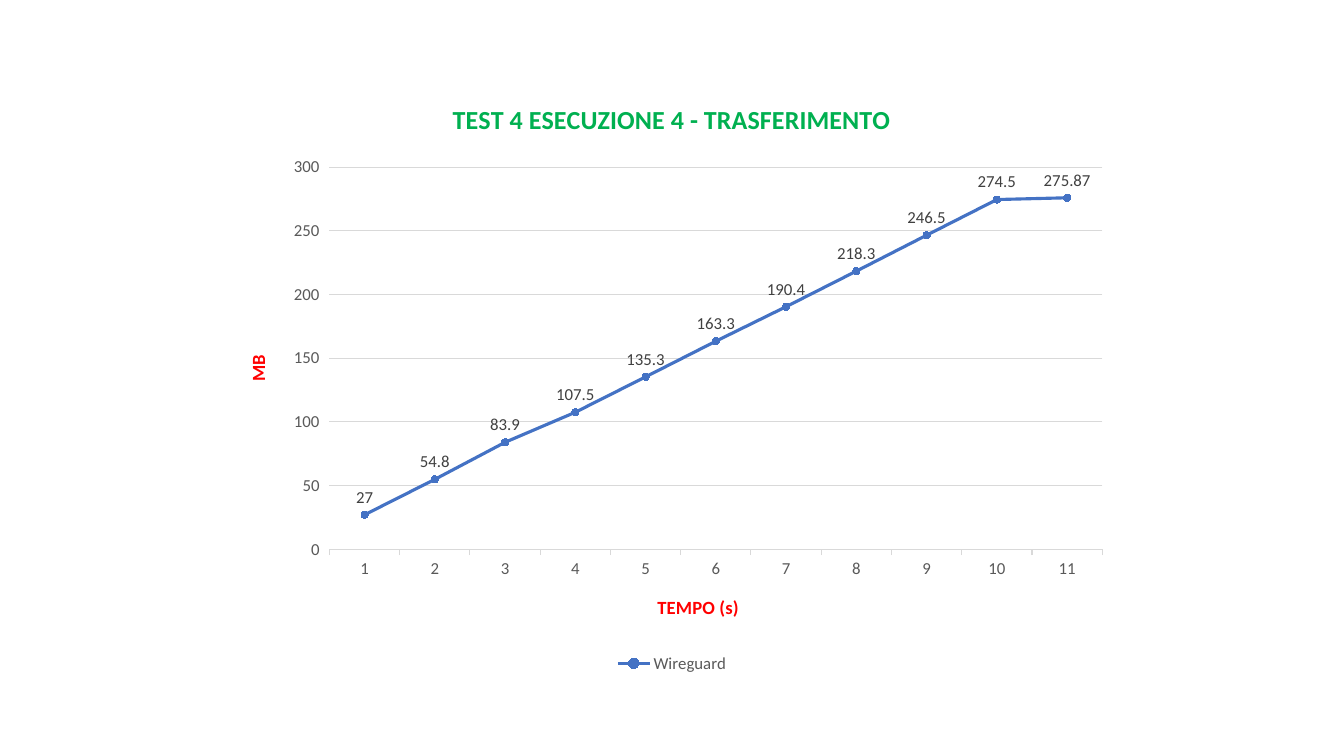
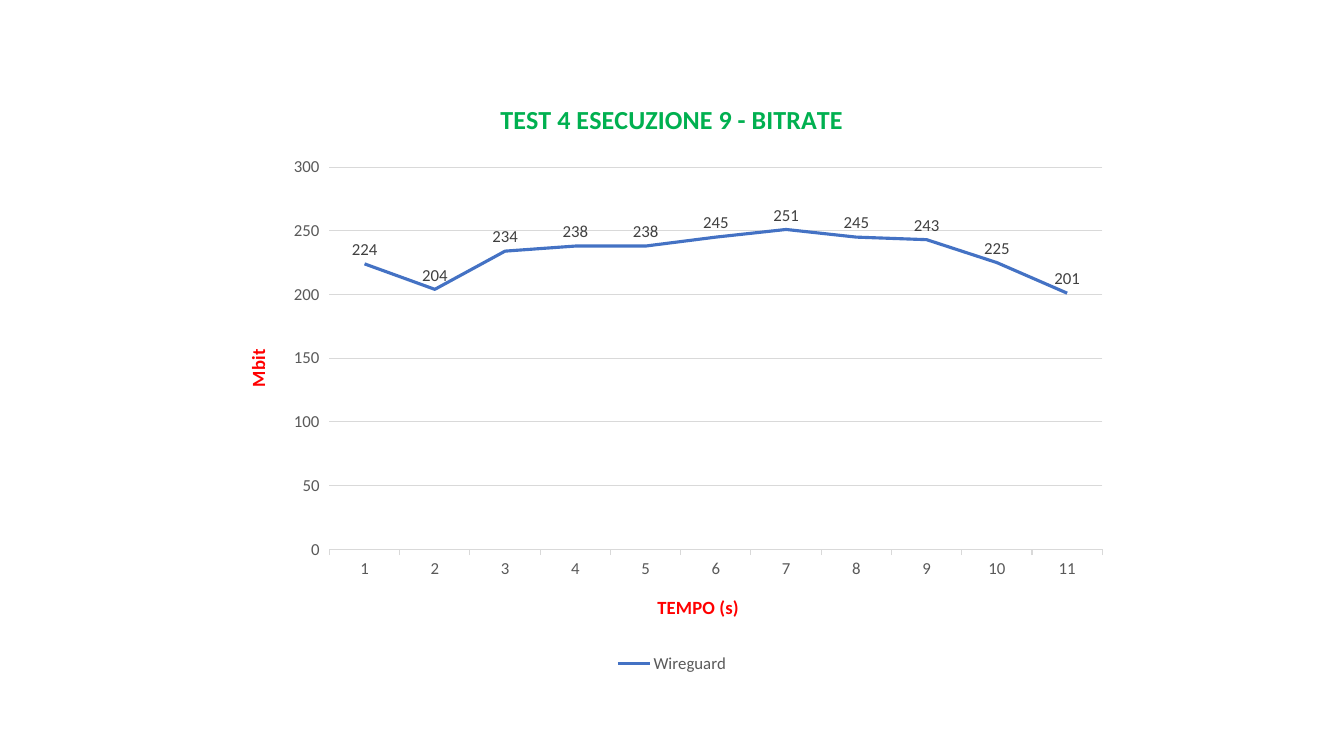
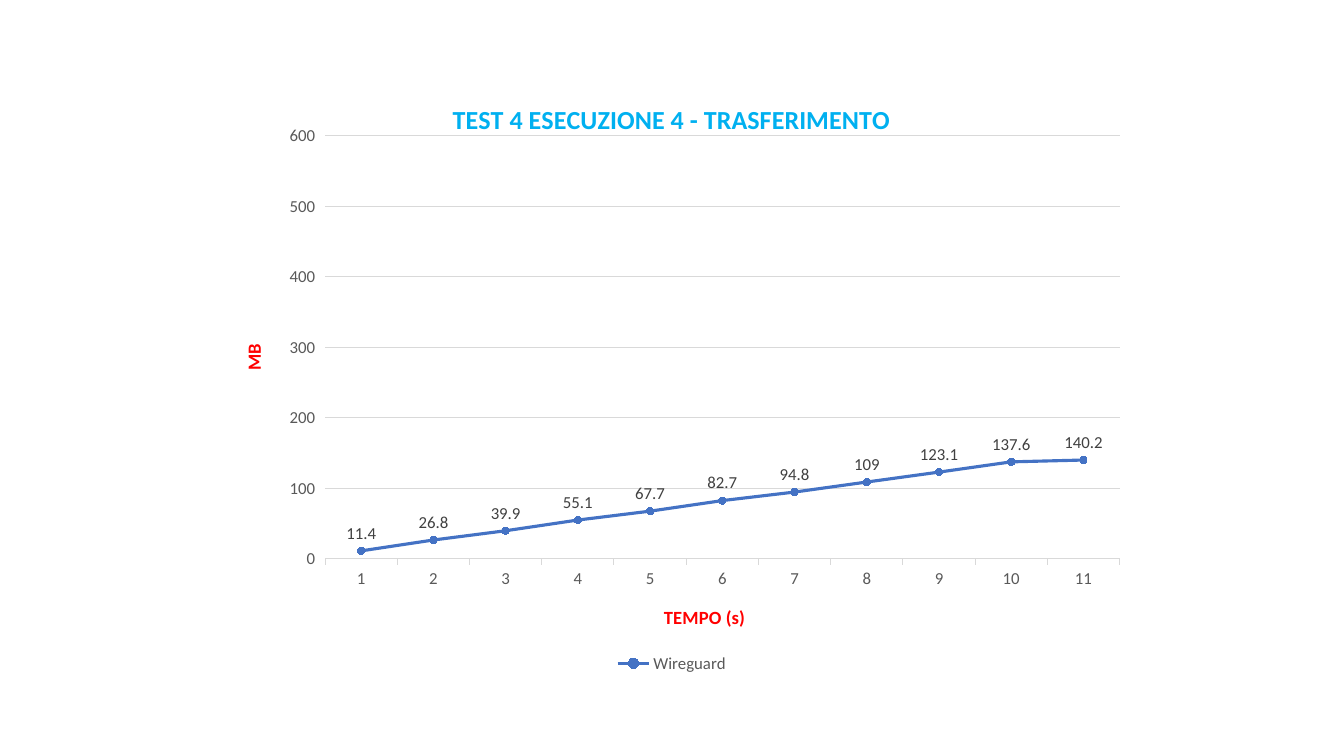
"""Build three slides that chart the Wireguard transfer and bitrate tests."""
from pptx import Presentation
from pptx.chart.data import CategoryChartData as ChartData
from pptx.dml.color import RGBColor as RGB
from pptx.enum.chart import XL_CHART_TYPE as ChartType
from pptx.enum.chart import XL_LABEL_POSITION as LabelPosition
from pptx.enum.chart import XL_LEGEND_POSITION as LegendPosition
from pptx.enum.chart import XL_MARKER_STYLE as MarkerStyle
from pptx.enum.chart import XL_TICK_MARK as TickMark
from pptx.oxml import parse_xml
from pptx.oxml.ns import nsdecls
from pptx.util import Inches, Pt

COLORS = {
    "green": "00B050", "sky": "00B0F0", "red": "FF0000", "blue": "4472C4",
    "text": "595959", "label": "404040", "grid": "D9D9D9",
}
CHARTS = [
    {"title": "TEST 4 ESECUZIONE 4 - TRASFERIMENTO", "color": "green", "unit": "MB",
     "type": ChartType.LINE_MARKERS, "scale": {"minimum_scale": 0}, "plot": None,
     "values": [27, 54.8, 83.9, 107.5, 135.3, 163.3, 190.4, 218.3, 246.5, 274.5, 275.87]},
    {"title": "TEST 4 ESECUZIONE 9 - BITRATE", "color": "green", "unit": "Mbit",
     "type": ChartType.LINE, "scale": {}, "plot": None,
     "values": [224, 204, 234, 238, 238, 245, 251, 245, 243, 225, 201]},
    {"title": "TEST 4 ESECUZIONE 4 - TRASFERIMENTO", "color": "sky", "unit": "MB",
     "type": ChartType.LINE_MARKERS, "scale": {"minimum_scale": 0, "maximum_scale": 600},
     "plot": {"x": 0.113, "y": 0.094, "w": 0.887, "h": 0.708},
     "values": [11.4, 26.8, 39.9, 55.1, 67.7, 82.7, 94.8, 109, 123.1, 137.6, 140.2]},
]


def style_font(font, color, size=12, bold=False):
    for name, value in {"name": "Calibri", "size": Pt(size), "bold": bold}.items():
        setattr(font, name, value)
    font.color.rgb = RGB.from_string(COLORS[color])


def write_title(title, text, color, size):
    para = title.text_frame.paragraphs[0]
    span = para.add_run()
    span.text = text
    style_font(para.font, color, size, True)
    style_font(span.font, color, size, True)


deck = Presentation()
deck.slide_width, deck.slide_height = Inches(13.33), Inches(7.5)

for entry in CHARTS:
    page = deck.slides.add_slide(deck.slide_layouts[6])
    data = ChartData()
    data.categories = [str(second) for second in range(1, 12)]
    data.add_series("Wireguard", entry["values"])
    chart = page.shapes.add_chart(
        entry["type"], Inches(2.22), Inches(0.79), Inches(8.89), Inches(5.93), data).chart
    style_font(chart.font, "text")
    write_title(chart.chart_title, entry["title"], entry["color"], 18.6)
    chart.chart_title.include_text_in_layout = False

    for axis, caption in ((chart.category_axis, "TEMPO (s)"), (chart.value_axis, entry["unit"])):
        write_title(axis.axis_title, caption, "red", 13.3)
        style_font(axis.tick_labels.font, "text")
        axis.major_tick_mark = TickMark.OUTSIDE
        axis.minor_tick_mark = TickMark.NONE

    category_axis, value_axis = chart.category_axis, chart.value_axis
    value_axis.has_major_gridlines = True
    for line in (category_axis.format.line, value_axis.major_gridlines.format.line):
        line.width = Pt(0.75)
        line.color.rgb = RGB.from_string(COLORS["grid"])
    value_axis.format.line.fill.background()
    for name, value in entry["scale"].items():
        setattr(value_axis, name, value)
    rotation = value_axis.axis_title.text_frame._txBody.bodyPr
    rotation.set("rot", "-5400000")
    rotation.set("vert", "horz")

    chart.has_legend = True
    chart.legend.position = LegendPosition.BOTTOM
    chart.legend.include_in_layout = False
    style_font(chart.legend.font, "text")

    plot = chart.plots[0]
    plot.vary_by_categories = False
    series = plot.series[0]
    series.smooth = False
    series.format.line.width = Pt(2.25)
    series.format.line.color.rgb = RGB.from_string(COLORS["blue"])
    if entry["type"] == ChartType.LINE_MARKERS:
        series.marker.style = MarkerStyle.CIRCLE
        series.marker.size = 5
        series.marker.format.fill.solid()
        for paint in (series.marker.format.fill.fore_color, series.marker.format.line.color):
            paint.rgb = RGB.from_string(COLORS["blue"])
    labels = series.data_labels
    labels.show_value = True
    labels.position = LabelPosition.ABOVE
    style_font(labels.font, "label")

    if entry["plot"]:
        area = chart._chartSpace.chart.plotArea
        for layout in area.findall("{*}layout"):
            area.remove(layout)
        sides = "".join(f'<c:{side}Mode val="edge"/>' for side in "xy")
        sides += "".join(f'<c:{side} val="{share}"/>' for side, share in entry["plot"].items())
        area.insert(0, parse_xml(
            f'<c:layout {nsdecls("c")}><c:manualLayout><c:layoutTarget val="inner"/>'
            f'{sides}</c:manualLayout></c:layout>'))

deck.save("out.pptx")
